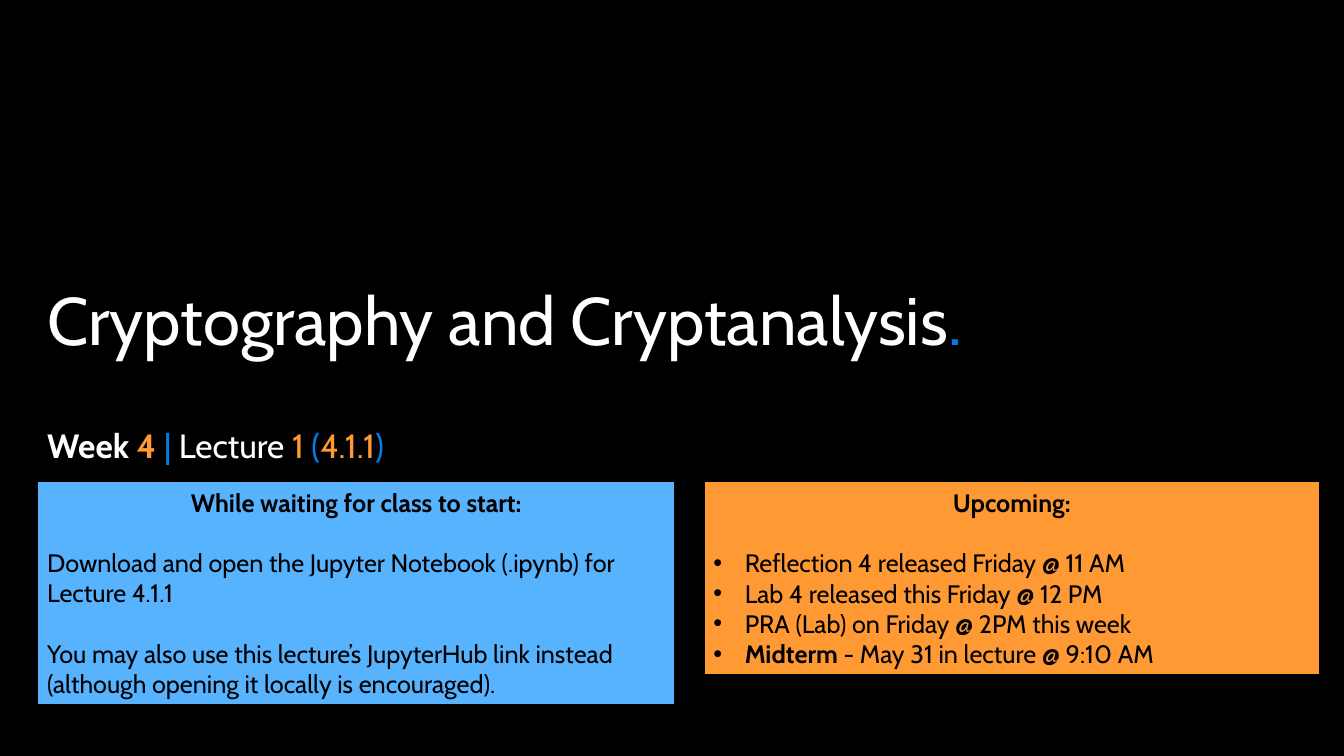
import lxml.etree
import pptx
import pptx.dml.color
import pptx.enum.shapes
import pptx.enum.text
import pptx.oxml.ns
import pptx.util

Cm, Pt = pptx.util.Cm, pptx.util.Pt
RGBColor = pptx.dml.color.RGBColor
Align = pptx.enum.text.PP_ALIGN
Anchor = pptx.enum.text.MSO_ANCHOR
AutoSize = pptx.enum.text.MSO_AUTO_SIZE

BLACK = RGBColor(0x00, 0x00, 0x00)
WHITE = RGBColor(0xFF, 0xFF, 0xFF)
BLUE = RGBColor(0x01, 0x7E, 0xE5)
SKY = RGBColor(0x58, 0xB3, 0xFE)
ORANGE = RGBColor(0xFF, 0x99, 0x33)

LEFT, FULL_WIDTH = 0.94, 31.65
PANEL_TOP = 12.12
LINE_GAP = 21.75  # points, one line of body text


class SlideBuilder:
    font_name = "Cabin"

    def __init__(self, presentation):
        self.slide = presentation.slides.add_slide(presentation.slide_layouts[5])
        fill = self.slide.background.fill
        fill.solid()
        fill.fore_color.rgb = BLACK

    def fill_paragraph(self, paragraph, runs, size, **formats):
        """Add (text, colour, bold) runs, then set the paragraph formats."""
        for text, color, bold in runs:
            run = paragraph.add_run()
            run.text = text
            font = {"name": self.font_name, "size": Pt(size), "bold": bold}
            for name, value in font.items():
                setattr(run.font, name, value)
            run.font.color.rgb = color
        for name, value in {"alignment": Align.LEFT, **formats}.items():
            setattr(paragraph, name, value)

    def set_frame(self, frame, anchor, auto_size=AutoSize.NONE):
        formats = {"word_wrap": True, "auto_size": auto_size, "vertical_anchor": anchor}
        for name, value in formats.items():
            setattr(frame, name, value)

    def title(self, top, height, runs):
        title = self.slide.shapes.title
        box = {"left": LEFT, "top": top, "width": FULL_WIDTH, "height": height}
        for name, value in box.items():
            setattr(title, name, Cm(value))
        self.set_frame(title.text_frame, Anchor.BOTTOM)
        self.fill_paragraph(title.text_frame.paragraphs[0], runs, 48, line_spacing=0.9)

    def subtitle(self, top, height, runs):
        box = self.slide.shapes.add_textbox(Cm(LEFT), Cm(top), Cm(FULL_WIDTH), Cm(height))
        self.set_frame(box.text_frame, Anchor.TOP)
        self.fill_paragraph(box.text_frame.paragraphs[0], runs, 24, line_spacing=0.9)

    def bullet(self, paragraph):
        properties = paragraph._p.get_or_add_pPr()
        properties.set("marL", str(Cm(0.79)))
        properties.set("indent", str(-Cm(0.79)))
        for tag, name, value in (("a:buFont", "typeface", "Arial"), ("a:buChar", "char", "•")):
            element = lxml.etree.SubElement(properties, pptx.oxml.ns.qn(tag))
            element.set(name, value)

    def panel(self, left, width, height, color, heading, body, bulleted=False):
        """Draw a filled box with a heading and body paragraphs, each a list of runs."""
        shape = self.slide.shapes.add_shape(
            pptx.enum.shapes.MSO_SHAPE.RECTANGLE, Cm(left), Cm(PANEL_TOP), Cm(width), Cm(height))
        shape.shadow.inherit = False
        shape.fill.solid()
        shape.fill.fore_color.rgb = color
        shape.line.color.rgb = BLACK
        shape.line.width = Pt(1.5)
        frame = shape.text_frame
        self.set_frame(frame, Anchor.MIDDLE, AutoSize.SHAPE_TO_FIT_TEXT)
        self.fill_paragraph(frame.paragraphs[0], [(heading, BLACK, True)], 18,
                            alignment=Align.CENTER)
        for index, runs in enumerate(body):
            paragraph = frame.add_paragraph()
            if bulleted:
                self.bullet(paragraph)
            gap = 0 if bulleted and index else LINE_GAP
            self.fill_paragraph(paragraph, [(text, BLACK, bold) for text, bold in runs], 18,
                                space_before=Pt(gap))


def main():
    presentation = pptx.Presentation()
    presentation.slide_width, presentation.slide_height = Cm(33.87), Cm(19.05)
    builder = SlideBuilder(presentation)
    builder.title(6.71, 2.49, [
        ("Cryptography and Cryptanalysis", WHITE, False), (".", BLUE, False)])
    builder.subtitle(10.69, 4.6, [
        ("Week ", WHITE, True), ("4 ", ORANGE, True), ("|", BLUE, False),
        (" Lecture ", WHITE, False), ("1 ", ORANGE, False), ("(", BLUE, False),
        ("4.1.1", ORANGE, False), (")", BLUE, False)])
    builder.panel(17.73, 15.54, 4.88, ORANGE, "Upcoming:", [
        [("Reflection 4 released Friday @ 11 AM", False)],
        [("Lab 4 released this Friday @ 12 PM", False)],
        [("PRA (Lab) on Friday @ 2PM this week", False)],
        [("Midterm", True), (" - May 31 in lecture @ 9:10 AM", False)],
    ], bulleted=True)
    builder.panel(LEFT, 16.08, 5.64, SKY, "While waiting for class to start:", [
        [("Download and open the Jupyter Notebook (.ipynb) for Lecture 4.1.1", False)],
        [("You may also use this lecture’s JupyterHub link instead "
          "(although opening it locally is encouraged).", False)],
    ])
    presentation.save("out.pptx")


if __name__ == "__main__":
    main()
